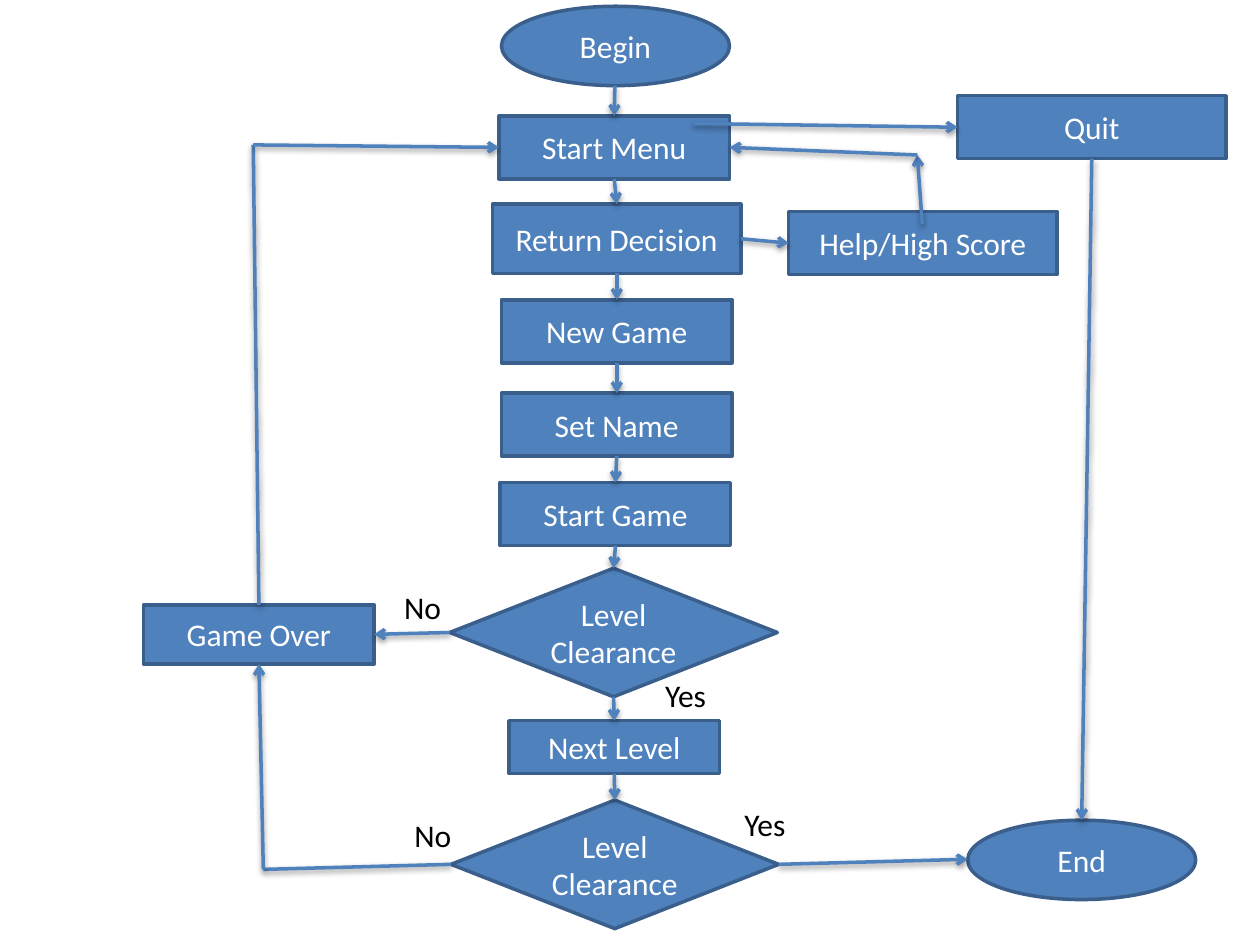
import pptx
import pptx.util
import pptx.dml.color
import pptx.enum.shapes
import pptx.enum.text
import lxml.etree

Inches = pptx.util.Inches
Kind = pptx.enum.shapes.MSO_SHAPE
TOP, LEFT, BOTTOM, RIGHT = range(4)
colors = {"fill": "4F81BD", "edge": "3A5F8C", "light": "FFFFFF", "dark": "000000"}


def tint(name):
    return pptx.dml.color.RGBColor.from_string(colors[name])


def write(frame, text, color):
    run = frame.paragraphs[0].add_run()
    run.text = text
    run.font.size = pptx.util.Pt(18)
    run.font.name = "Calibri"
    run.font.color.rgb = tint(color)


deck = pptx.Presentation()
deck.slide_width, deck.slide_height = Inches(10), Inches(7.5)
slide = deck.slides.add_slide(deck.slide_layouts[6])

steps = [
    ("begin", "Begin", Kind.OVAL, 3.98, 0.05, 1.81, 0.63),
    ("menu", "Start Menu", Kind.RECTANGLE, 3.96, 0.92, 1.83, 0.5),
    ("return", "Return Decision", Kind.RECTANGLE, 3.91, 1.62, 1.97, 0.55),
    ("new", "New Game", Kind.RECTANGLE, 3.98, 2.38, 1.83, 0.5),
    ("name", "Set Name", Kind.RECTANGLE, 3.98, 3.12, 1.83, 0.5),
    ("start", "Start Game", Kind.RECTANGLE, 3.97, 3.83, 1.83, 0.5),
    ("first", "Level Clearance", Kind.FLOWCHART_DECISION, 3.57, 4.51, 2.6, 1.02),
    ("next", "Next Level", Kind.RECTANGLE, 4.04, 5.72, 1.67, 0.42),
    ("last", "Level Clearance", Kind.FLOWCHART_DECISION, 3.58, 6.35, 2.6, 1.02),
    ("over", "Game Over", Kind.RECTANGLE, 1.14, 4.8, 1.83, 0.47),
    ("help", "Help/High Score", Kind.RECTANGLE, 6.26, 1.68, 2.13, 0.5),
    ("quit", "Quit", Kind.RECTANGLE, 7.6, 0.76, 2.13, 0.5),
    ("end", "End", Kind.OVAL, 7.68, 6.51, 1.81, 0.63),
]
nodes = {}
for key, text, kind, *place in steps:
    node = slide.shapes.add_shape(kind, *map(Inches, place))
    node.shadow.inherit = False
    node.fill.solid()
    node.fill.fore_color.rgb = tint("fill")
    node.line.color.rgb = tint("edge")
    node.line.width = pptx.util.Pt(2)
    frame = node.text_frame
    frame.word_wrap = True
    frame.vertical_anchor = pptx.enum.text.MSO_ANCHOR.MIDDLE
    frame.paragraphs[0].alignment = pptx.enum.text.PP_ALIGN.CENTER
    write(frame, text, "light")
    nodes[key] = node

chain = ["menu", "return", "new", "name", "start", "first", "next", "last"]
links = [((a, BOTTOM), (b, TOP), True) for a, b in zip(chain, chain[1:])]
links += [
    ((4.88, 0.68), ("menu", TOP), True),
    (("over", TOP), (2.01, 1.15), False),
    ((2.01, 1.15), ("menu", LEFT), True),
    (("first", LEFT), ("over", RIGHT), True),
    (("last", LEFT), (2.09, 6.9), False),
    ((2.09, 6.9), ("over", BOTTOM), True),
    (("last", RIGHT), (7.68, 6.82), True),
    (("return", RIGHT), ("help", LEFT), True),
    ((7.32, 1.78), (7.28, 1.23), True),
    ((7.28, 1.23), ("menu", RIGHT), True),
    ((5.51, 0.98), ("quit", LEFT), True),
    (("quit", BOTTOM), ("end", TOP), True),
]
for tail, head, arrow in links:
    points = [(0, 0) if end[0] in nodes else end for end in (tail, head)]
    link = slide.shapes.add_connector(
        pptx.enum.shapes.MSO_CONNECTOR.STRAIGHT,
        *(Inches(v) for point in points for v in point),
    )
    if tail[0] in nodes:
        link.begin_connect(nodes[tail[0]], tail[1])
    if head[0] in nodes:
        link.end_connect(nodes[head[0]], head[1])
    link.line.color.rgb = tint("fill")
    link.line.width = pptx.util.Pt(2)
    if arrow:
        line = link.line._get_or_add_ln()
        mark = lxml.etree.SubElement(line, pptx.oxml.ns.qn("a:tailEnd"))
        mark.set("type", "arrow")

labels = [
    ("No", 3.11, 4.62, 0.5),
    ("Yes", 5.18, 5.32, 0.53),
    ("Yes", 5.81, 6.34, 0.53),
    ("No", 3.19, 6.43, 0.5),
]
for text, x, y, width in labels:
    box = slide.shapes.add_textbox(Inches(x), Inches(y), Inches(width), Inches(0.4))
    box.text_frame.word_wrap = False
    box.text_frame.auto_size = pptx.enum.text.MSO_AUTO_SIZE.SHAPE_TO_FIT_TEXT
    write(box.text_frame, text, "dark")

deck.save("out.pptx")
